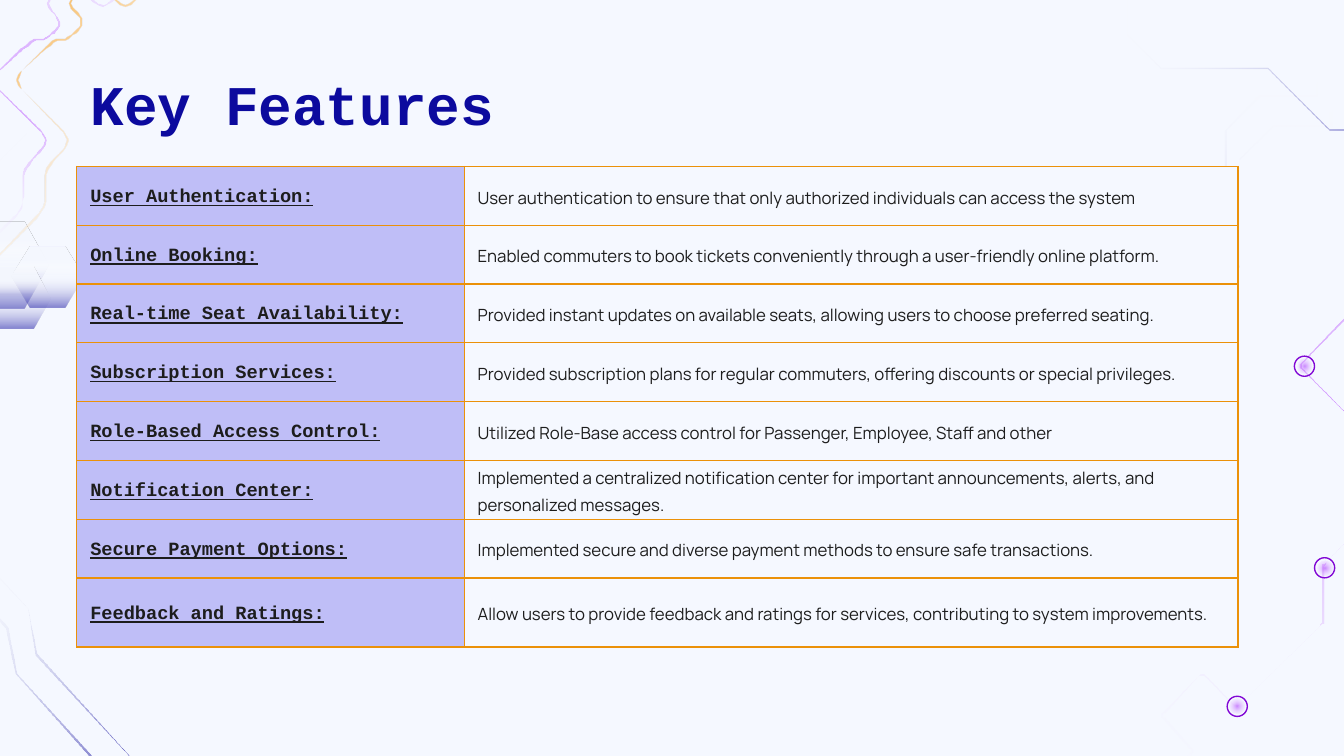
import math
from dataclasses import dataclass

import pptx
import pptx.dml.color
import pptx.enum.shapes
import pptx.enum.text
import pptx.oxml
import pptx.oxml.ns
import pptx.util

Pt = pptx.util.Pt


@dataclass(frozen=True)
class Theme:
    background: str = "F5F8FF"
    navy: str = "0C0A9E"
    violet: str = "8208D5"
    border: str = "EB9109"
    label_fill: str = "BFBEF7"
    ink: str = "1D1D1D"
    heading_font: str = "Courier New"
    body_font: str = "Manrope"
    title_size: float = 30
    label_size: float = 10
    body_size: float = 9


THEME = Theme()

# Gradient stops: position, colour, opacity (all in percent)
CLEAR = (100, "FFFFFF", 0)
NAVY_FADE = [(0, THEME.navy, 100), CLEAR]
SOFT_NAVY_FADE = [(0, THEME.navy, 37), CLEAR]
VIOLET_GLOW = [(0, "9900FF", 47), CLEAR]
ORANGE_FADE = [(0, THEME.border, 100), (40, "FF9900", 41), CLEAR]
CRYSTAL = [(0, THEME.background, 100), (22, THEME.background, 100),
           (45, "FFFFFF", 0), (100, THEME.navy, 50)]

CIRCUIT = [(602.5, 280.5), (631, 252), (631, 175.5), (664, 142.5),
           (664, 85.5), (682, 67.5), (713, 67.5), (713, 58.5)]
NETWORK = [(870, 22), (825, 67), (849, 91), (770.5, 170), (745, 145),
           (695.5, 196), (754.5, 255.5), (708.5, 302.5), (708.5, 333.5),
           (662.5, 378.5), (643.5, 360.5), (622, 383), (639, 402),
           (631.5, 411), (639, 421), (636, 424)]
NODES = [(662.8, 378.4), (709.6, 304.2), (698.8, 196.2)]
CORNER = [(85.5, 450), (79, 416), (19.5, 350.5), (15, 326), (-11.5, 297.5)]
WAVE = [(41.5, -45), (79.5, -7), (67, 5.5), (49.5, -11.5), (35.5, 2.5),
        (46, 12), (36.5, 21.5), (29, 21.5), (7, 43), (39, 75.5),
        (24.5, 90), (24.5, 111.5), (0, 136.5)]
HOOK = [(14, 71), (-7, 92), (-7, 51), (-23.5, 51), (-23.5, 13.5)]
HEXAGONS = [(-27.4, 118.8, 53.3, 46), (-10.8, 143.3, 38.2, 33),
            (6.5, 131.8, 38.2, 33)]

FEATURES = [
    ("User Authentication:",
     "User authentication to ensure that only authorized individuals can access the system"),
    ("Online Booking:",
     "Enabled commuters to book tickets conveniently through a user-friendly online platform."),
    ("Real-time Seat Availability:",
     "Provided instant updates on available seats, allowing users to choose preferred seating."),
    ("Subscription Services:",
     "Provided subscription plans for regular commuters, offering discounts or special privileges."),
    ("Role-Based Access Control:",
     "Utilized Role-Base access control for Passenger, Employee, Staff and other"),
    ("Notification Center:",
     "Implemented a centralized notification center for important announcements, alerts, "
     "and personalized messages."),
    ("Secure Payment Options:",
     "Implemented secure and diverse payment methods to ensure safe transactions."),
    ("Feedback and Ratings:",
     "Allow users to provide feedback and ratings for services, contributing to system improvements."),
]


def rgb(value):
    return pptx.dml.color.RGBColor.from_string(value)


def shift(points, dx, dy):
    return [(x + dx, y + dy) for x, y in points]


def rounded(points, radius):
    """Replace each inner corner by a sampled quadratic curve."""
    result = [points[0]]
    for before, corner, after in zip(points, points[1:], points[2:]):
        ends = []
        for other in (before, after):
            share = min(radius / math.dist(corner, other), 0.45)
            ends.append([c + (o - c) * share for c, o in zip(corner, other)])
        for t in (0, 0.25, 0.5, 0.75, 1):
            result.append(tuple((1 - t) ** 2 * a + 2 * t * (1 - t) * c + t * t * b
                                for a, c, b in zip(ends[0], corner, ends[1])))
    return result + [points[-1]]


def side(points, offset):
    """Line parallel to the given one, with mitred corners."""
    headings = [math.atan2(y2 - y1, x2 - x1)
                for (x1, y1), (x2, y2) in zip(points, points[1:])]
    result = []
    for (x, y), a, b in zip(points, headings[:1] + headings, headings + headings[-1:]):
        turn = math.remainder(b - a, math.tau) / 2
        reach = offset / math.cos(turn)
        result.append((x - reach * math.sin(a + turn), y + reach * math.cos(a + turn)))
    return result


def fill_gradient(shape, stops, angle=None):
    """Linear fade at a clockwise angle, or a radial one without an angle."""
    marks = "".join(
        f'<a:gs pos="{position * 1000}"><a:srgbClr val="{color}">'
        f'<a:alpha val="{opacity * 1000}"/></a:srgbClr></a:gs>'
        for position, color, opacity in stops)
    if angle is None:
        direction = ('<a:path path="circle"><a:fillToRect l="50000" t="50000" '
                     'r="50000" b="50000"/></a:path>')
    else:
        direction = f'<a:lin ang="{round(angle * 60000)}" scaled="0"/>'
    shape.fill.gradient()
    properties = shape._element.spPr
    old = properties.find(pptx.oxml.ns.qn("a:gradFill"))
    properties.replace(old, pptx.oxml.parse_xml(
        f'<a:gradFill {pptx.oxml.ns.nsdecls("a")} rotWithShape="1">'
        f'<a:gsLst>{marks}</a:gsLst>{direction}</a:gradFill>'))


def add_polygon(page, points, stops, angle=None):
    builder = page.shapes.build_freeform(*points[0], scale=Pt(1))
    builder.add_line_segments(points[1:], close=True)
    shape = builder.convert_to_shape()
    shape.shadow.inherit = False
    shape.line.fill.background()
    fill_gradient(shape, stops, angle)


def add_trace(page, points, stops, angle=None, radius=0):
    """Thin ribbon along the points, so that it can fade."""
    center = rounded(points, radius) if radius else points
    add_polygon(page, side(center, 0.5) + side(center, -0.5)[::-1], stops, angle)


def add_hexagon(page, left, top, width, height):
    corners = [(0.25, 0), (0.75, 0), (1, 0.5), (0.75, 1), (0.25, 1), (0, 0.5)]
    add_polygon(page, [(left + u * width, top + v * height) for u, v in corners],
                CRYSTAL, 90)


def add_node(page, x, y):
    ring, glow = (
        page.shapes.add_shape(pptx.enum.shapes.MSO_SHAPE.OVAL, Pt(x - size / 2),
                              Pt(y - size / 2), Pt(size), Pt(size))
        for size in (10.8, 7.9))
    ring.shadow.inherit = glow.shadow.inherit = False
    ring.fill.background()
    ring.line.color.rgb = rgb(THEME.violet)
    ring.line.width = Pt(0.75)
    glow.line.fill.background()
    fill_gradient(glow, VIOLET_GLOW)


def add_decoration(page):
    add_trace(page, CIRCUIT, NAVY_FADE, 270)
    add_trace(page, shift(CIRCUIT, -7.6, -15.6), NAVY_FADE, 270)
    x0, y0 = CIRCUIT[0]
    turned = [(817 + y - y0, 98 - x + x0) for x, y in CIRCUIT]
    add_trace(page, turned, NAVY_FADE, 180)
    add_trace(page, NETWORK, VIOLET_GLOW, radius=2)
    for node in NODES:
        add_node(page, *node)
    for points in (CORNER, shift(CORNER, -11.2, 10.4)):
        add_trace(page, points, NAVY_FADE, 227.8)
    for hexagon in HEXAGONS:
        add_hexagon(page, *hexagon)
    add_trace(page, WAVE, ORANGE_FADE, 45, radius=7)
    add_trace(page, shift(WAVE, -12.2, 0), VIOLET_GLOW, radius=7)
    add_trace(page, HOOK, SOFT_NAVY_FADE, 45)


def style_span(span, font, size, color, bold=False, underline=False):
    span.font.name = font
    span.font.size = Pt(size)
    span.font.color.rgb = rgb(color)
    span.font.bold = bold
    span.font.underline = underline


def add_title(page, text):
    box = page.shapes.add_textbox(Pt(41.5), Pt(30), Pt(589), Pt(45.5))
    frame = box.text_frame
    frame.word_wrap = True
    frame.margin_left = frame.margin_right = Pt(7.2)
    frame.margin_top = frame.margin_bottom = Pt(7.2)
    frame.text = text
    style_span(frame.paragraphs[0].runs[0], THEME.heading_font, THEME.title_size,
               THEME.navy, bold=True)


def set_borders(cell):
    properties = cell._tc.get_or_add_tcPr()
    for position, edge in enumerate(("lnL", "lnR", "lnT", "lnB")):
        properties.insert(position, pptx.oxml.parse_xml(
            f'<a:{edge} {pptx.oxml.ns.nsdecls("a")} w="{Pt(0.75)}"><a:solidFill>'
            f'<a:srgbClr val="{THEME.border}"/></a:solidFill></a:{edge}>'))


def fill_cell(cell, text, color, **style):
    cell.text_frame.text = text
    cell.vertical_anchor = pptx.enum.text.MSO_ANCHOR.MIDDLE
    cell.margin_left = cell.margin_right = Pt(7.2)
    cell.margin_top = cell.margin_bottom = Pt(0)
    cell.fill.solid()
    cell.fill.fore_color.rgb = rgb(color)
    set_borders(cell)
    para = cell.text_frame.paragraphs[0]
    para.line_spacing = 1.15
    style_span(para.runs[0], color=THEME.ink, **style)


def add_feature_table(page):
    widths = (207.5, 414.5)
    heights = [31.5] * (len(FEATURES) - 1) + [37]
    table = page.shapes.add_table(len(FEATURES), 2, Pt(41.2), Pt(89.2),
                                  Pt(sum(widths)), Pt(sum(heights))).table
    table.first_row = table.horz_banding = False
    for column, width in zip(table.columns, widths):
        column.width = Pt(width)
    for row, height, (label, detail) in zip(table.rows, heights, FEATURES):
        row.height = Pt(height)
        fill_cell(row.cells[0], label, THEME.label_fill, font=THEME.heading_font,
                  size=THEME.label_size, bold=True, underline=True)
        fill_cell(row.cells[1], detail, THEME.background, font=THEME.body_font,
                  size=THEME.body_size)


def main():
    deck = pptx.Presentation()
    deck.slide_width, deck.slide_height = Pt(720), Pt(405)
    page = deck.slides.add_slide(deck.slide_layouts[6])
    page.background.fill.solid()
    page.background.fill.fore_color.rgb = rgb(THEME.background)
    add_decoration(page)
    add_title(page, "Key Features")
    add_feature_table(page)
    deck.save("out.pptx")


if __name__ == "__main__":
    main()
